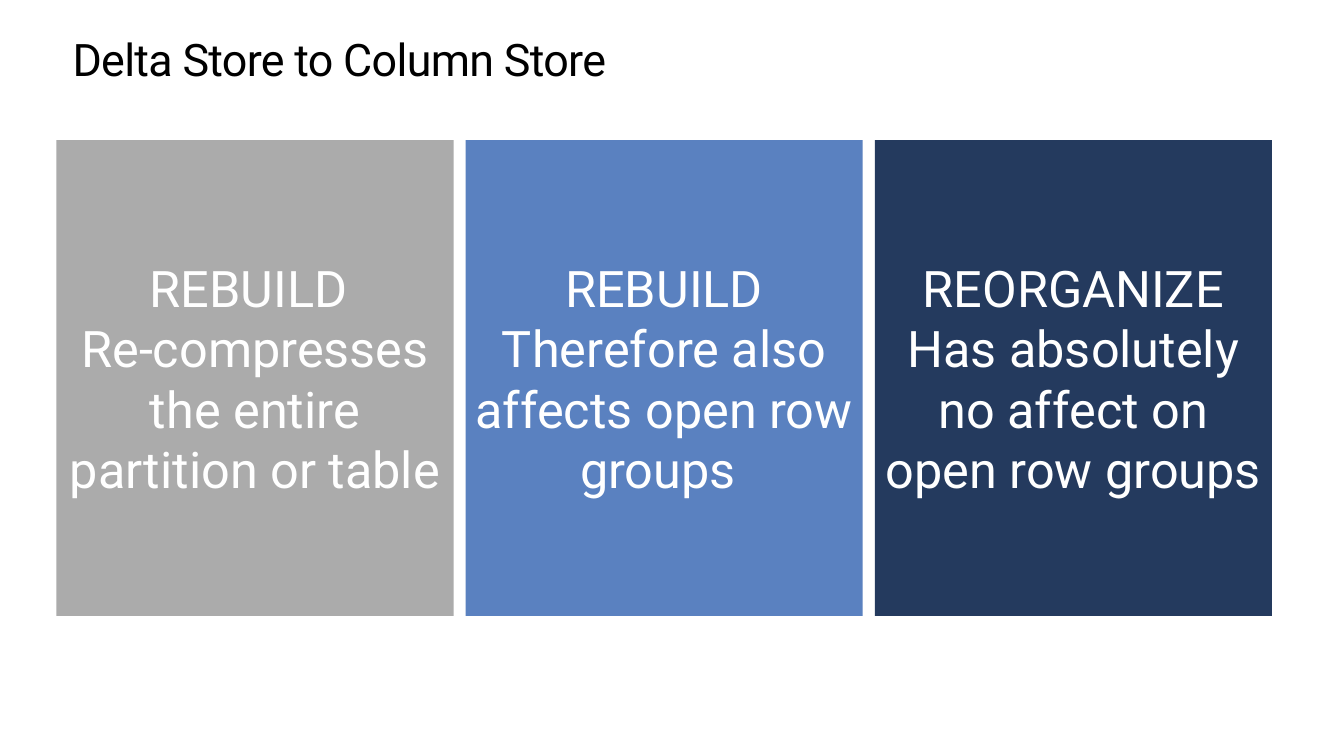
from pptx import Presentation
from pptx.dml.color import RGBColor
from pptx.enum.shapes import MSO_SHAPE as Shape
from pptx.enum.text import MSO_ANCHOR as Anchor, MSO_AUTO_SIZE as AutoSize, PP_ALIGN as Align
from pptx.util import Pt

TITLE = "Delta Store to Column Store"
PANELS = [
    ("grey", ["REBUILD ", "Re-compresses the entire partition or table "]),
    ("blue", ["REBUILD Therefore also affects open row groups "]),
    ("navy", ["REORGANIZE", "Has absolutely no affect on open row groups"]),
]
COLOURS = {"grey": "ABABAB", "blue": "5A81C0", "navy": "243A5E",
           "white": "FFFFFF", "black": "000000"}
FONT = "Roboto"
PANEL_LEFT, PANEL_TOP = 40.3, 100.1
PANEL_WIDTH, PANEL_HEIGHT = 283.7, 339.8
PANEL_GAP = 8.6


def colour(name):
    return RGBColor.from_string(COLOURS[name])


def style(para, size, colour_name, align):
    para.alignment = align
    para.font.name = FONT
    para.font.size = Pt(size)
    para.font.color.rgb = colour(colour_name)


def add_title(page):
    title = page.shapes.title
    title.left, title.top, title.width, title.height = Pt(51.8), Pt(25.2), Pt(856.8), Pt(36.2)
    frame = title.text_frame
    frame.margin_left = frame.margin_top = frame.margin_right = frame.margin_bottom = 0
    frame.vertical_anchor = Anchor.TOP
    frame.word_wrap = True
    frame.auto_size = AutoSize.SHAPE_TO_FIT_TEXT
    para = frame.paragraphs[0]
    span = para.add_run()
    span.text = TITLE
    span._r.get_or_add_rPr().set("spc", "-50")
    para.line_spacing = Pt(36.2)
    para.space_before = Pt(0)
    style(para, 32, "black", Align.LEFT)


def add_panel(page, index, fill, lines):
    left = PANEL_LEFT + index * (PANEL_WIDTH + PANEL_GAP)
    panel = page.shapes.add_shape(
        Shape.RECTANGLE, Pt(left), Pt(PANEL_TOP), Pt(PANEL_WIDTH), Pt(PANEL_HEIGHT))
    panel.shadow.inherit = False
    panel.fill.solid()
    panel.fill.fore_color.rgb = colour(fill)
    panel.line.fill.background()
    frame = panel.text_frame
    frame.word_wrap = True
    frame.vertical_anchor = Anchor.MIDDLE
    frame.text = "\n".join(lines)
    for para in frame.paragraphs:
        style(para, 36, "white", Align.CENTER)


def main():
    deck = Presentation()
    deck.slide_width, deck.slide_height = Pt(960), Pt(540)
    page = deck.slides.add_slide(deck.slide_layouts[5])
    add_title(page)
    for index, (fill, lines) in enumerate(PANELS):
        add_panel(page, index, fill, lines)
    deck.save("out.pptx")


if __name__ == "__main__":
    main()
